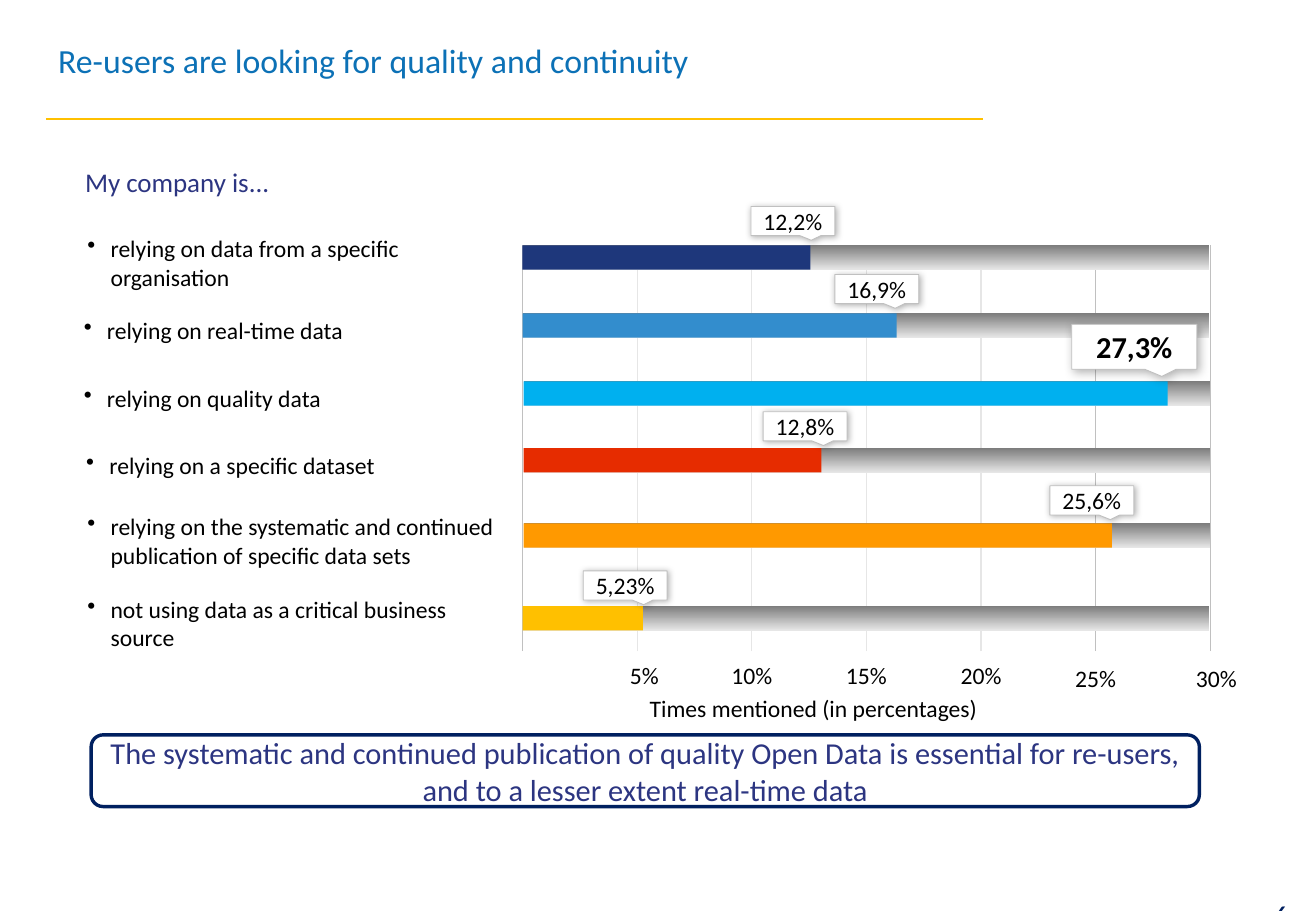
from dataclasses import dataclass

import pptx
import pptx.dml.color
import pptx.enum.shapes
import pptx.enum.text
import pptx.oxml
import pptx.oxml.ns
import pptx.util

SHAPE = pptx.enum.shapes.MSO_SHAPE
ALIGN = pptx.enum.text.PP_ALIGN
ANCHOR = pptx.enum.text.MSO_ANCHOR
COLS, ROWS = 108.3, 75


@dataclass(frozen=True)
class Theme:
    font: str = "Calibri"
    title: str = "0C71B6"
    accent: str = "2C3581"
    navy: str = "002060"
    rule: str = "FFC000"
    ink: str = "000000"
    white: str = "FFFFFF"
    grid: str = "C0C0C0"
    faint: str = "E6E6E6"
    track: str = "7D7D7D"
    title_size: int = 20
    lead_size: int = 16
    strong_size: int = 18
    body_size: int = 14


@dataclass(frozen=True)
class Box:
    left: float
    top: float
    width: float
    height: float


@dataclass(frozen=True)
class Mention:
    label: str
    value: str
    color: str
    label_left: float
    left: float
    top: float
    length: float
    tag_left: float
    tag_top: float
    strong: bool = False


@dataclass(frozen=True)
class Tick:
    label: str
    color: str
    nudge: float = 0
    top: float = 54.3


T = Theme()
PLOT = Box(43, 20.2, 56.6, 33.4)
TRACK_WIDTH, BAR_HEIGHT = 56.5, 2

MENTIONS = [
    Mention("relying on data from a specific organisation", "12,2%", "1E377B", 6.4, 43, 20.2, 23.7, 61.8, 17),
    Mention("relying on real-time data", "16,9%", "338DCD", 6.1, 43, 25.8, 30.8, 68.7, 22.6),
    Mention("relying on quality data", "27,3%", "00B0EF", 6.1, 43.1, 31.4, 53, 88.2, 26.7, True),
    Mention("relying on a specific dataset", "12,8%", "E62C00", 6.3, 43.1, 36.9, 24.5, 62.8, 33.9),
    Mention("relying on the systematic and continued publication of specific data sets",
            "25,6%", "FF9900", 6.4, 43.1, 43.1, 48.4, 86.4, 40),
    Mention("not using data as a critical business source", "5,23%", "FFC000", 6.4, 43, 49.9, 9.9, 48, 47),
]
TICKS = [
    Tick("", T.grid),
    Tick("5%", T.faint, 0.6),
    Tick("10%", T.faint),
    Tick("15%", T.faint),
    Tick("20%", T.faint),
    Tick("25%", T.grid, 0, 54.5),
    Tick("30%", T.grid, 0.5, 54.5),
]

prs = pptx.Presentation()
prs.slide_width = pptx.util.Inches(10.83)
prs.slide_height = pptx.util.Inches(7.5)
s = prs.slides.add_slide(prs.slide_layouts[6])


def x(cols: float) -> int:
    return round(prs.slide_width * cols / COLS)


def y(rows: float) -> int:
    return round(prs.slide_height * rows / ROWS)


def place(box: Box) -> tuple[int, int, int, int]:
    return x(box.left), y(box.top), x(box.width), y(box.height)


def rgb(color: str) -> pptx.dml.color.RGBColor:
    return pptx.dml.color.RGBColor.from_string(color)


def write(sp, text: str, *, size: int = T.body_size, color: str = T.ink, bold: bool = False,
          align=ALIGN.LEFT, anchor=ANCHOR.MIDDLE, insets=(0, 0, 0, 0),
          after: float = 0, spacing: float = 1, bullet: bool = False) -> None:
    tf = sp.text_frame
    tf.word_wrap = True
    tf.vertical_anchor = anchor
    tf.margin_left, tf.margin_right = x(insets[0]), x(insets[2])
    tf.margin_top, tf.margin_bottom = y(insets[1]), y(insets[3])
    p = tf.paragraphs[0]
    p.alignment, p.line_spacing, p.space_after = align, spacing, pptx.util.Pt(after)
    if bullet:
        pPr = p._p.get_or_add_pPr()
        pPr.set("marL", str(x(1.9)))
        pPr.set("indent", str(-x(1.9)))
        bu = pptx.oxml.parse_xml(f'<a:buChar {pptx.oxml.ns.nsdecls("a")} char="•"/>')
        pPr.append(bu)
    r = p.add_run()
    r.text = text
    r.font.name, r.font.size, r.font.bold = T.font, pptx.util.Pt(size), bold
    r.font.color.rgb = rgb(color)


def add_text(box: Box, text: str, **fmt) -> None:
    write(s.shapes.add_textbox(*place(box)), text, **fmt)


def add_line(x1: float, y1: float, x2: float, y2: float, color: str, width: float) -> None:
    cx = s.shapes.add_connector(pptx.enum.shapes.MSO_CONNECTOR.STRAIGHT, x(x1), y(y1), x(x2), y(y2))
    cx.line.color.rgb = rgb(color)
    cx.line.width = pptx.util.Pt(width)
    cx._element.spPr.append(pptx.oxml.parse_xml(f'<a:effectLst {pptx.oxml.ns.nsdecls("a")}/>'))


def add_shape(kind, box: Box, fill: str = "", line: str = "", width: float = 0):
    sp = s.shapes.add_shape(kind, *place(box))
    sp.shadow.inherit = False
    if fill:
        sp.fill.solid()
        sp.fill.fore_color.rgb = rgb(fill)
    if line:
        sp.line.color.rgb = rgb(line)
        sp.line.width = pptx.util.Pt(width)
    else:
        sp.line.fill.background()
    return sp


def add_bar(m: Mention) -> None:
    track = add_shape(SHAPE.RECTANGLE, Box(m.left, m.top, TRACK_WIDTH, BAR_HEIGHT))
    track.fill.gradient()
    track.fill.gradient_angle = 270
    for stop, color in zip(track.fill.gradient_stops, (T.track, T.faint)):
        stop.color.rgb = rgb(color)
    add_shape(SHAPE.RECTANGLE, Box(m.left, m.top, m.length, BAR_HEIGHT), m.color)


def add_tag(m: Mention) -> None:
    width, height, blur, dist = (10.3, 3.7, 6, 2) if m.strong else (6.9, 2.4, 4, 1)
    sp = add_shape(SHAPE.RECTANGULAR_CALLOUT, Box(m.tag_left, m.tag_top, width, height), T.white, T.grid, 0.5)
    sp.adjustments[0], sp.adjustments[1] = 0.22, 0.66
    effects = sp._element.spPr.find(pptx.oxml.ns.qn("a:effectLst"))
    effects.append(pptx.oxml.parse_xml(
        f'<a:outerShdw {pptx.oxml.ns.nsdecls("a")} blurRad="{pptx.util.Pt(blur)}" '
        f'dist="{pptx.util.Pt(dist)}" dir="2700000" algn="tl" rotWithShape="0">'
        f'<a:srgbClr val="{T.ink}"><a:alpha val="30000"/></a:srgbClr></a:outerShdw>'))
    write(sp, m.value, size=T.strong_size if m.strong else T.body_size, bold=m.strong,
          align=ALIGN.CENTER, insets=(0, 0.5, 0, 0.5))


def main() -> None:
    add_line(3.8, 9.8, 80.9, 9.8, T.rule, 1.25)
    add_text(Box(3.8, 0, 77.1, 9.8), "Re-users are looking for quality and continuity",
             size=T.title_size, color=T.title, insets=(1, 0.5, 1, 0.5))
    add_text(Box(6.2, 13.6, 74.4, 4.4), "My company is...", size=T.lead_size, color=T.accent,
             anchor=ANCHOR.TOP, insets=(0.8, 0, 2, 0), after=3)

    for i, tick in enumerate(TICKS):
        left = PLOT.left + i * PLOT.width / (len(TICKS) - 1)
        add_line(left, PLOT.top + PLOT.height, left, PLOT.top, tick.color, 0.75)
        if tick.label:
            add_text(Box(left + tick.nudge - 2.6, tick.top, 5.2, 2.6), tick.label, align=ALIGN.CENTER, after=6)

    for m in MENTIONS:
        add_text(Box(m.label_left, m.top, 36.4, 2.8), m.label, insets=(0.8, 0, 1.2, 0), after=6, bullet=True)
        add_bar(m)
    for m in MENTIONS:
        add_tag(m)

    add_text(Box(43, 56.9, 47.9, 3.5), "Times mentioned (in percentages)", align=ALIGN.CENTER,
             anchor=ANCHOR.TOP, insets=(1, 0.5, 1, 0.5), after=4, spacing=0.9)
    summary = add_shape(SHAPE.ROUNDED_RECTANGLE, Box(7.5, 60.5, 91.2, 5.9), T.white, T.navy, 2)
    write(summary, "The systematic and continued publication of quality Open Data is essential for re-users, "
          "and to a lesser extent real-time data", size=T.strong_size, color=T.accent,
          align=ALIGN.CENTER, after=3)
    add_text(Box(103.8, 73.4, 3.6, 1.3), "6", size=T.strong_size, color=T.navy,
             anchor=ANCHOR.TOP, insets=(1, 0.5, 1, 0.5))
    prs.save("out.pptx")


if __name__ == "__main__":
    main()
